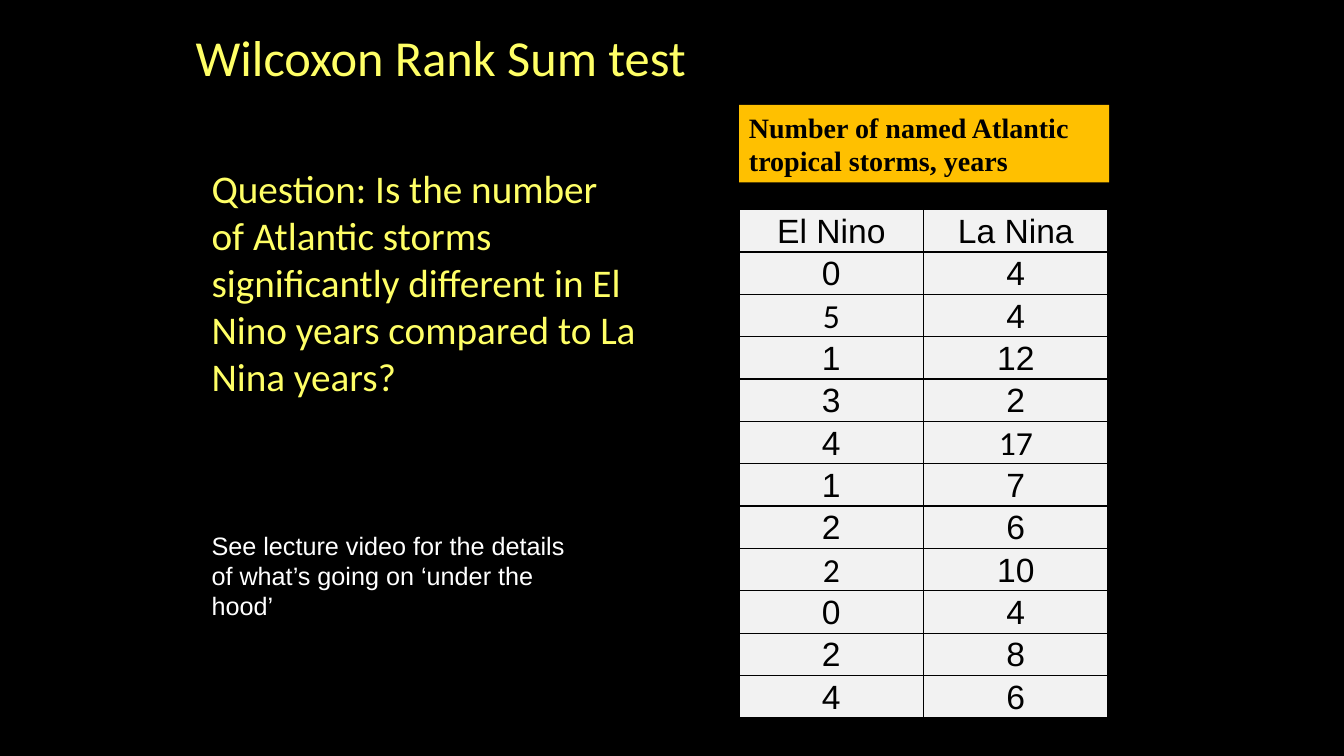
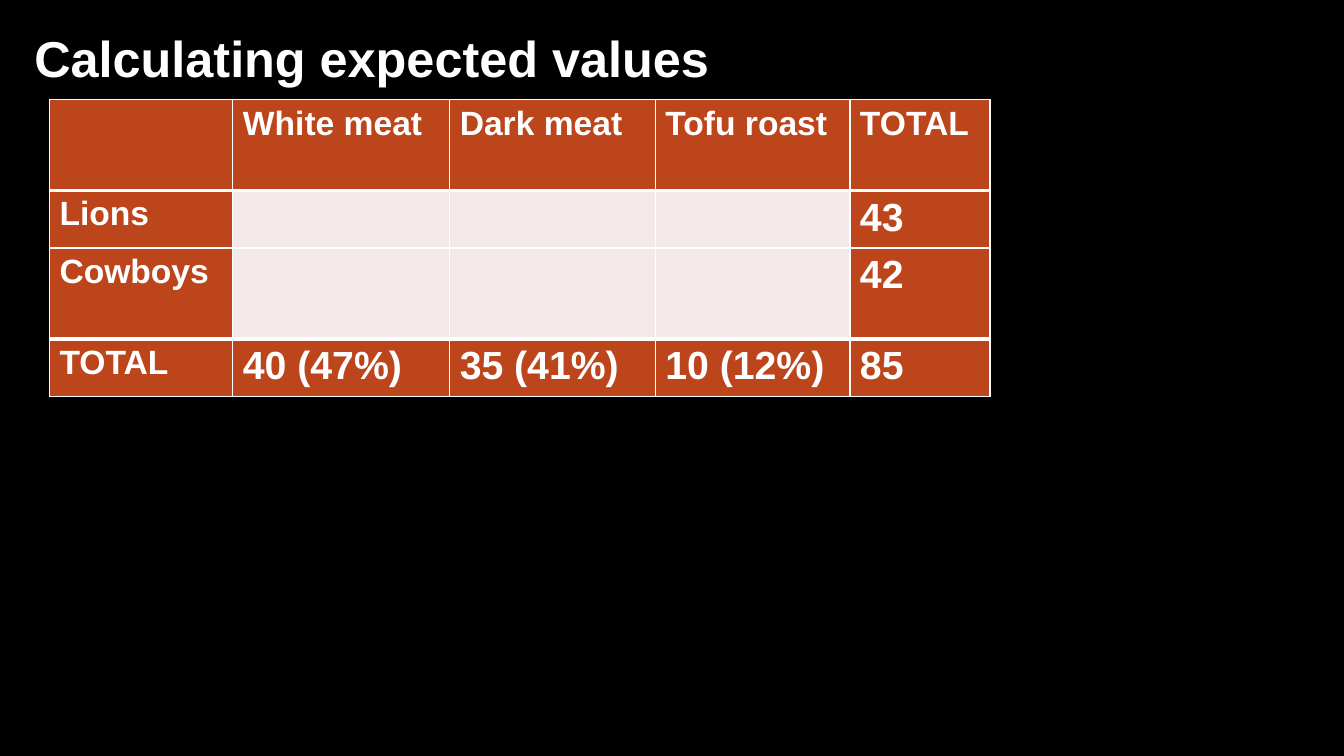
from dataclasses import dataclass
from typing import Any, Sequence

import pptx
import pptx.dml.color
import pptx.enum.shapes
import pptx.enum.text
import pptx.oxml
import pptx.oxml.ns
import pptx.util
from pptx.util import Inches

Align = pptx.enum.text.PP_ALIGN
Anchor = pptx.enum.text.MSO_ANCHOR


@dataclass(frozen=True)
class Theme:
    black: str = "000000"
    white: str = "FFFFFF"
    yellow: str = "FFFF66"
    amber: str = "FFC000"
    pale_grey: str = "F2F2F2"
    rust: str = "BC451B"
    pale_rust: str = "F3E9E8"
    sans: str = "Arial"
    humanist: str = "Calibri"
    serif: str = "Times New Roman"
    title_size: int = 36
    large_size: int = 28
    table_size: int = 24
    banner_size: int = 20
    note_size: int = 18
    thin_line: float = 1
    thick_line: float = 3


THEME = Theme()


@dataclass(frozen=True)
class Box:
    left: float
    top: float
    width: float
    height: float

    def lengths(self) -> tuple[int, ...]:
        return tuple(Inches(value) for value in (self.left, self.top, self.width, self.height))


@dataclass(frozen=True)
class TextStyle:
    size: int
    color: str
    font: str = THEME.sans
    bold: bool = False


@dataclass(frozen=True)
class CellStyle:
    text: TextStyle
    fill: str
    line_color: str
    top_line: float = THEME.thin_line
    bottom_line: float = THEME.thin_line
    margins: tuple[float, float, float, float] = (0.1, 0.05, 0.1, 0.05)
    align: Any = Align.LEFT
    anchor: Any = Anchor.TOP


def rgb(color: str) -> pptx.dml.color.RGBColor:
    return pptx.dml.color.RGBColor.from_string(color)


def write_text(frame: Any, text: str, style: TextStyle, align: Any = Align.LEFT) -> None:
    paragraph = frame.paragraphs[0]
    paragraph.alignment = align
    run = paragraph.add_run()
    run.text = text
    run.font.size = pptx.util.Pt(style.size)
    run.font.name = style.font
    run.font.bold = style.bold
    run.font.color.rgb = rgb(style.color)


def add_titled_slide(presentation: Any, title: str, box: Box, style: TextStyle) -> Any:
    slide = presentation.slides.add_slide(presentation.slide_layouts[5])
    shape = slide.shapes.title
    shape.left, shape.top, shape.width, shape.height = box.lengths()
    frame = shape.text_frame
    frame.auto_size = pptx.enum.text.MSO_AUTO_SIZE.NONE
    frame.vertical_anchor = Anchor.MIDDLE
    write_text(frame, title, style)
    return slide


def add_text(slide: Any, text: str, box: Box, style: TextStyle) -> None:
    frame = slide.shapes.add_textbox(*box.lengths()).text_frame
    frame.word_wrap = True
    write_text(frame, text, style)


def add_banner(slide: Any, text: str, box: Box, style: TextStyle, fill: str) -> None:
    shape = slide.shapes.add_shape(pptx.enum.shapes.MSO_SHAPE.RECTANGLE, *box.lengths())
    shape.shadow.inherit = False
    shape.fill.solid()
    shape.fill.fore_color.rgb = rgb(fill)
    shape.line.fill.background()
    shape.text_frame.word_wrap = True
    write_text(shape.text_frame, text, style)


def set_borders(cell: Any, style: CellStyle) -> None:
    properties = cell._tc.get_or_add_tcPr()
    widths = {
        "lnL": THEME.thin_line,
        "lnR": THEME.thin_line,
        "lnT": style.top_line,
        "lnB": style.bottom_line,
    }
    for index, (tag, width) in enumerate(widths.items()):
        properties.insert(index, pptx.oxml.parse_xml(
            f'<a:{tag} {pptx.oxml.ns.nsdecls("a")} w="{pptx.util.Pt(width)}">'
            f'<a:solidFill><a:srgbClr val="{style.line_color}"/></a:solidFill></a:{tag}>'
        ))


def format_cell(cell: Any, text: str, style: CellStyle) -> None:
    cell.fill.solid()
    cell.fill.fore_color.rgb = rgb(style.fill)
    set_borders(cell, style)
    cell.margin_left, cell.margin_top, cell.margin_right, cell.margin_bottom = map(
        Inches, style.margins)
    cell.vertical_anchor = style.anchor
    if text:
        write_text(cell.text_frame, text, style.text, style.align)


def add_plain_table(slide: Any, left: float, top: float,
                    widths: Sequence[float], heights: Sequence[float]) -> Any:
    """Add a table without header or banding styles."""
    box = Box(left, top, sum(widths), sum(heights))
    table = slide.shapes.add_table(len(heights), len(widths), *box.lengths()).table
    table.first_row = table.horz_banding = False
    for column, width in zip(table.columns, widths):
        column.width = Inches(width)
    for row, height in zip(table.rows, heights):
        row.height = Inches(height)
    return table


def build_rank_sum_slide(presentation: Any) -> None:
    slide = add_titled_slide(
        presentation, "Wilcoxon Rank Sum test", Box(1.84, 0.17, 8.73, 0.77),
        TextStyle(THEME.title_size, THEME.yellow, THEME.humanist))
    add_banner(
        slide, "Number of named Atlantic tropical storms, years", Box(7.33, 1.04, 3.67, 0.77),
        TextStyle(THEME.banner_size, THEME.black, THEME.serif, bold=True), THEME.amber)
    add_text(
        slide,
        "Question: Is the number of Atlantic storms significantly different in El Nino "
        "years compared to La Nina years?",
        Box(2, 1.58, 4.42, 4.81), TextStyle(THEME.large_size, THEME.yellow, THEME.humanist))

    el_nino = (0, 5, 1, 3, 4, 1, 2, 2, 0, 2, 4)
    la_nina = (4, 4, 12, 2, 17, 7, 6, 10, 4, 8, 6)
    storm_rows = [("El Nino", "La Nina"), *zip(el_nino, la_nina)]
    humanist_cells = {(2, 0), (5, 1), (8, 0)}
    table = add_plain_table(slide, 7.33, 2.08, [1.83] * 2, [0.41] * len(storm_rows))
    for row, values in enumerate(storm_rows):
        for column, value in enumerate(values):
            font = THEME.humanist if (row, column) in humanist_cells else THEME.sans
            style = CellStyle(
                TextStyle(THEME.table_size, THEME.black, font), THEME.pale_grey, THEME.black,
                margins=(0.02, 0.02, 0.02, 0), align=Align.CENTER, anchor=Anchor.MIDDLE)
            format_cell(table.cell(row, column), str(value), style)

    add_text(
        slide, "See lecture video for the details of what’s going on ‘under the hood’",
        Box(2, 5.21, 3.94, 0.71), TextStyle(THEME.note_size, THEME.white))


def build_expected_values_slide(presentation: Any) -> None:
    slide = add_titled_slide(
        presentation, "Calculating expected values", Box(0.24, 0.21, 9, 0.71),
        TextStyle(THEME.title_size, THEME.white, bold=True))
    count_rows = (
        ("", "White meat", "Dark meat", "Tofu roast", "TOTAL"),
        ("Lions", "", "", "", "43"),
        ("Cowboys", "", "", "", "42"),
        ("TOTAL", "40 (47%)", "35 (41%)", "10 (12%)", "85"),
    )
    table = add_plain_table(
        slide, 0.49, 0.99, (1.82, 2.15, 2.04, 1.93, 1.39), (0.9, 0.57, 0.9, 0.57))
    thick_below = {0, 2}
    for row, values in enumerate(count_rows):
        for column, value in enumerate(values):
            is_label = row == 0 or column == 0
            is_inner = row in (1, 2) and column in (1, 2, 3)
            size = THEME.table_size if is_label else THEME.large_size
            style = CellStyle(
                TextStyle(size, THEME.white, bold=True),
                THEME.pale_rust if is_inner else THEME.rust, THEME.white,
                top_line=THEME.thick_line if row - 1 in thick_below else THEME.thin_line,
                bottom_line=THEME.thick_line if row in thick_below else THEME.thin_line)
            format_cell(table.cell(row, column), value, style)


def main() -> None:
    presentation = pptx.Presentation()
    presentation.slide_width = Inches(13.33)
    presentation.slide_height = Inches(7.5)
    background = presentation.slide_master.background.fill
    background.solid()
    background.fore_color.rgb = rgb(THEME.black)
    build_rank_sum_slide(presentation)
    build_expected_values_slide(presentation)
    presentation.save("out.pptx")


if __name__ == "__main__":
    main()
